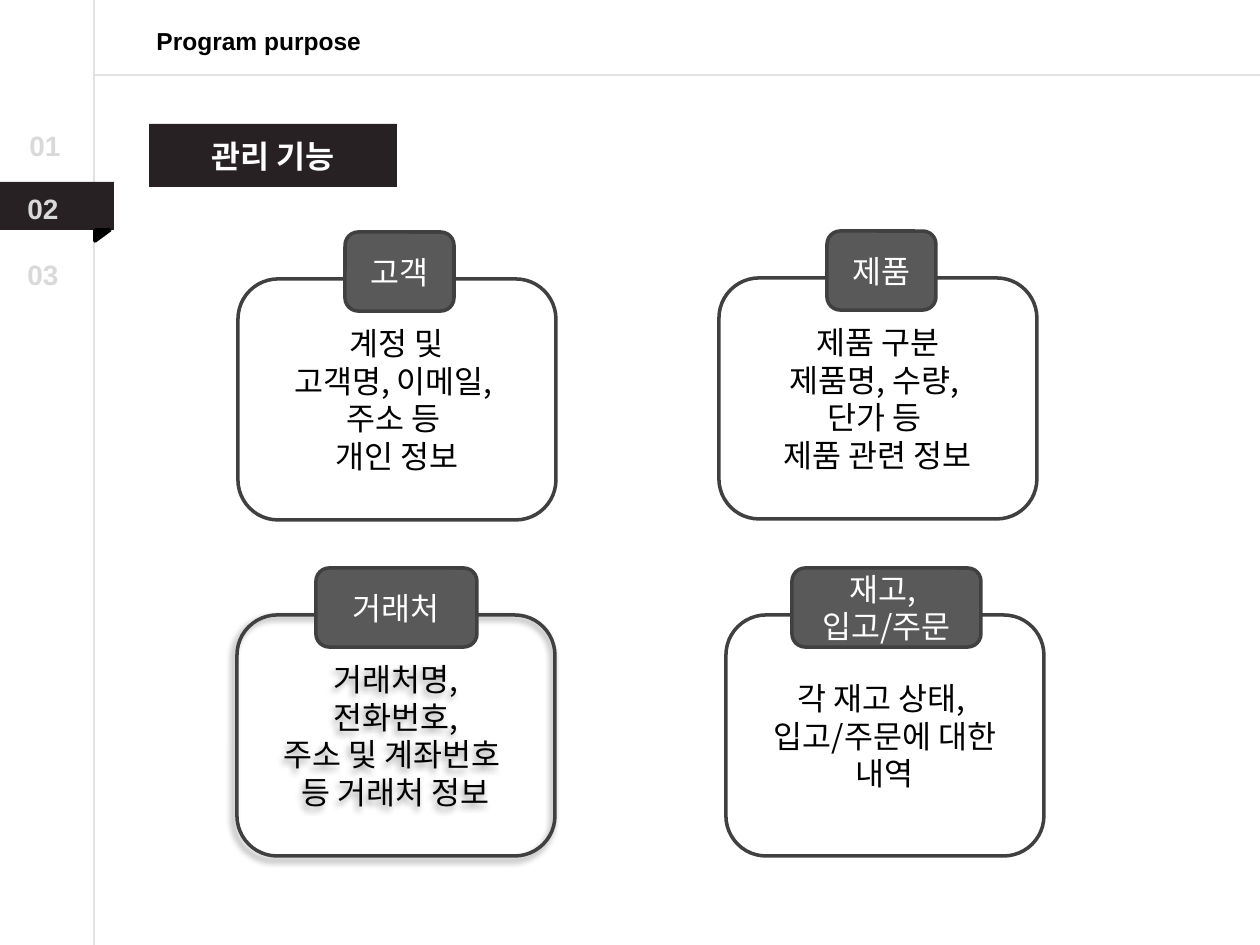
from lxml import etree
from pptx import Presentation
from pptx.dml.color import RGBColor
from pptx.enum.shapes import MSO_CONNECTOR, MSO_SHAPE
from pptx.enum.text import MSO_ANCHOR, MSO_AUTO_SIZE, PP_ALIGN
from pptx.oxml import parse_xml
from pptx.oxml.ns import nsdecls, qn
from pptx.util import Emu, Pt

PX = 914400 / 126
COLORS = {
    "ink": "272123", "black": "000000", "white": "FFFFFF", "pale": "D9D9D9",
    "rule": "A6A6A6", "border": "404040", "tab": "595959",
}
KOREAN = "Noto Sans CJK KR"


def add_shape(shapes, kind, box, fill=None, line=None):
    sp = shapes.add_shape(kind, *[Emu(round(v * PX)) for v in box])
    sp.shadow.inherit = False
    if fill:
        sp.fill.solid()
        sp.fill.fore_color.rgb = RGBColor.from_string(COLORS[fill])
    else:
        sp.fill.background()
    if line:
        sp.line.color.rgb = RGBColor.from_string(COLORS[line])
        sp.line.width = Pt(2)
    else:
        sp.line.fill.background()
    return sp


def set_text(sp, text, size, color, font="Arial", bold=False, align=PP_ALIGN.CENTER):
    tf = sp.text_frame
    tf.word_wrap = True
    tf.vertical_anchor = MSO_ANCHOR.MIDDLE
    tf.text = text
    for p in tf.paragraphs:
        p.alignment = align
        for r in p.runs:
            r.font.size = Pt(size)
            r.font.bold = bold
            r.font.name = font
            r.font.color.rgb = RGBColor.from_string(COLORS[color])
            if font == KOREAN:
                ea = etree.SubElement(r.font._element, qn("a:ea"))
                ea.set("typeface", font)


prs = Presentation()
prs.slide_width = Emu(round(1260 * PX))
prs.slide_height = Emu(round(945 * PX))
s = prs.slides.add_slide(prs.slide_layouts[6])

rules = []
for ends in [(94, 0, 94, 945), (95, 75, 1260, 75)]:
    ln = s.shapes.add_connector(MSO_CONNECTOR.STRAIGHT, *[Emu(round(v * PX)) for v in ends])
    ln.line.color.rgb = RGBColor.from_string(COLORS["rule"])
    ln.line.width = Pt(0.75)
    clr = ln.line._ln.find(".//" + qn("a:srgbClr"))
    etree.SubElement(clr, qn("a:alpha")).set("val", "50000")
    etree.SubElement(ln._element.spPr, qn("a:effectLst"))

add_shape(s.shapes, MSO_SHAPE.RECTANGLE, (0, 182, 114, 48), "ink")
fold = add_shape(s.shapes, MSO_SHAPE.RIGHT_TRIANGLE, (97, 228, 11, 15), "black", "black")
fold.rotation = 90

labels = [
    ("01", 17, 122, 75, 47, 16, "pale"),
    ("02", 15, 185, 62, 47, 16, "pale"),
    ("03", 15, 251, 62, 47, 16, "pale"),
    ("Program purpose", 144, 19, 248, 43, 14, "black"),
]
for text, x, y, w, h, size, color in labels:
    tb = s.shapes.add_textbox(*[Emu(round(v * PX)) for v in (x, y, w, h)])
    set_text(tb, text, size, color, bold=True, align=PP_ALIGN.LEFT)
    tb.text_frame.auto_size = MSO_AUTO_SIZE.SHAPE_TO_FIT_TEXT

title = add_shape(s.shapes, MSO_SHAPE.RECTANGLE, (149, 124, 248, 63), "ink")
set_text(title, "관리 기능", 18, "white", bold=True)

cards = [
    (238, 279, 345, 109, "고객", "계정 및\n고객명, 이메일, \n주소 등 \n개인 정보", False),
    (719, 278, 827, 109, "제품", "제품 구분\n제품명, 수량, \n단가 등 \n제품 관련 정보", False),
    (237, 615, 316, 161, "거래처", "거래처명,\n전화번호,\n주소 및 계좌번호 \n등 거래처 정보", True),
    (726, 615, 792, 189, "재고, \n입고/주문", "각 재고 상태, \n입고/주문에 대한\n내역", False),
]
for x, y, tab_x, tab_w, name, detail, shaded in cards:
    grp = s.shapes.add_group_shape()
    card = add_shape(grp.shapes, MSO_SHAPE.ROUNDED_RECTANGLE, (x, y, 318, 241), line="border")
    set_text(card, detail, 18, "black", KOREAN)
    if shaded:
        card._element.spPr.find(qn("a:effectLst")).append(parse_xml(
            f'<a:outerShdw {nsdecls("a")} blurRad="{Pt(4)}" dist="{Pt(3)}" dir="8100000" '
            'algn="tr" rotWithShape="0"><a:srgbClr val="000000"><a:alpha val="40000"/>'
            '</a:srgbClr></a:outerShdw>'))
    tab = add_shape(grp.shapes, MSO_SHAPE.ROUNDED_RECTANGLE, (tab_x, y - 47, tab_w, 79), "tab", "border")
    set_text(tab, name, 18, "white", KOREAN)

prs.save("out.pptx")
